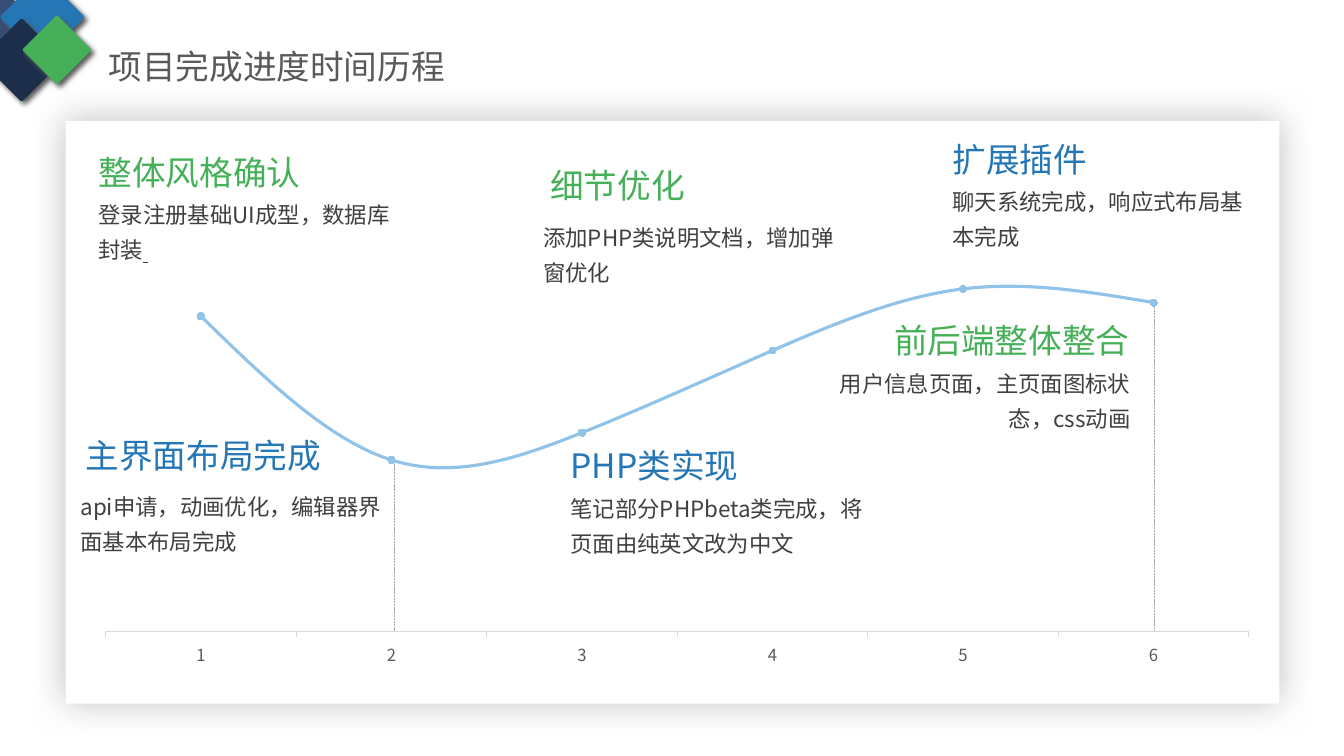
import lxml.etree
import pptx
import pptx.chart.data
import pptx.dml.color
import pptx.enum.chart
import pptx.enum.dml
import pptx.enum.shapes
import pptx.enum.text
import pptx.oxml
import pptx.oxml.ns
import pptx.util

SLIDE_W, SLIDE_H = pptx.util.Inches(13.33), pptx.util.Inches(7.5)
FONT = "Noto Sans CJK SC"
COLORS = {
    "white": "FFFFFF", "slate": "364D76", "blue": "2476B5", "navy": "1D2E4B",
    "green": "45B058", "title": "595959", "detail": "404040", "halo": "BFBFBF",
    "guide": "A6A6A6", "axis": "D9D9D9", "curve": "91C3E9", "lime": "9BC348",
    "teal": "2E9EB5", "royal": "2E6DB5", "indigo": "2E3DA5",
}
PROGRESS = [92, 50, 58, 82, 100, 96]
POINT_COLORS = ["curve", "lime", "green", "teal", "royal", "indigo"]

# Positions are percentages of the slide's width (x) and height (y).
DIAMONDS = [  # left, top, side (share of height), colour
    (-1.73, 0, 6.93, "slate"),
    (0.9, -1.73, 8, "blue"),
    (-0.6, 4, 7.87, "navy"),
    (2.4, 3.33, 6.53, "green"),
]
GUIDES = [(29.33, 61.33), (85.9, 39.87)]
AXIS_Y = 83.47
DETAIL_W, DETAIL_H, HEADING_H = 24.08, 10.67, 6.67
MILESTONES = [  # heading, colour, its left, top, width; detail, its left, top; align
    ("主界面布局完成", "blue", (5.63, 56.93, 22.58),
     ["api申请，动画优化，编辑器界面基本布局完成"], (5.25, 63.47), "LEFT"),
    ("前后端整体整合", "green", (62.49, 41.6, 22.28),
     ["用户信息页面，主页面图标状态，css动画"], (60.77, 47.2), "RIGHT"),
    ("整体风格确认", "green", (6.6, 19.47, 17.7),
     ["登录注册基础UI成型，数据库封装", " "], (6.6, 24.93), "LEFT"),
    ("PHP类实现", "blue", (41.71, 58.13, 17.7),
     ["笔记部分PHPbeta类完成，将页面由纯英文改为中文"], (41.71, 63.73), "LEFT"),
    ("细节优化", "green", (40.21, 21.2, 17.7),
     ["添加PHP类说明文档，增加弹窗优化"], (39.68, 27.87), "LEFT"),
    ("扩展插件", "blue", (70.14, 17.73, 17.7),
     ["聊天系统完成，响应式布局基本完成"], (70.14, 23.2), "LEFT"),
]


def x(share):
    return round(SLIDE_W * share / 100)


def y(share):
    return round(SLIDE_H * share / 100)


def rgb(name):
    return pptx.dml.color.RGBColor.from_string(COLORS[name])


def paint(fill, color):
    fill.solid()
    fill.fore_color.rgb = rgb(color)


def add_effects(shape, shadow=""):
    """Set the effect list: empty, or holding the given shadow."""
    shape._element.spPr.append(pptx.oxml.parse_xml(
        f'<a:effectLst {pptx.oxml.ns.nsdecls("a")}>{shadow}</a:effectLst>'))


def add_block(shapes, preset, left, top, width, height, color, shadow):
    """Add a borderless shape with (colour, blur, distance, degrees) as its shadow."""
    block = shapes.add_shape(preset, left, top, width, height)
    paint(block.fill, color)
    block.line.fill.background()
    tint, blur, distance, degrees = shadow
    add_effects(block, (
        f'<a:outerShdw blurRad="{pptx.util.Pt(blur)}" dist="{pptx.util.Pt(distance)}" '
        f'dir="{degrees * 60000}" algn="ctr" rotWithShape="0">'
        f'<a:srgbClr val="{COLORS[tint]}"/></a:outerShdw>'))
    return block


def add_diamond(shapes, left, top, side, color):
    diamond = add_block(shapes, pptx.enum.shapes.MSO_SHAPE.ROUNDED_RECTANGLE,
                        x(left), y(top), y(side), y(side), color, ("title", 4, 3, 45))
    diamond.adjustments[0] = 0.042
    diamond.rotation = 315


def add_text(shapes, left, top, width, height, texts, size, color, align="LEFT", spacing=1):
    """Add a one-paragraph box; runs after the first are underlined."""
    box = shapes.add_textbox(x(left), y(top), x(width), y(height))
    frame = box.text_frame
    frame.word_wrap = True
    frame.auto_size = pptx.enum.text.MSO_AUTO_SIZE.SHAPE_TO_FIT_TEXT
    paragraph = frame.paragraphs[0]
    paragraph.alignment = pptx.enum.text.PP_ALIGN[align]
    paragraph.line_spacing = spacing
    for index, text in enumerate(texts):
        run = paragraph.add_run()
        run.text = text
        run.font.size = pptx.util.Pt(size)
        run.font.color.rgb = rgb(color)
        run.font.name = FONT
        if index:
            run.font.underline = True
        east_asian = lxml.etree.SubElement(run.font._element, pptx.oxml.ns.qn("a:ea"))
        east_asian.set("typeface", FONT)


def add_guide(shapes, left, top):
    """Drop a dashed line from a point of the curve to the axis."""
    guide = shapes.add_connector(pptx.enum.shapes.MSO_CONNECTOR.STRAIGHT,
                                 x(left), y(top), x(left), y(AXIS_Y))
    guide.line.color.rgb = rgb("guide")
    guide.line.width = pptx.util.Pt(0.5)
    guide.line.dash_style = pptx.enum.dml.MSO_LINE.SQUARE_DOT
    add_effects(guide)


def set_plot_area(chart, **shares):
    entries = "".join(f'<c:{key} val="{value}"/>' for key, value in shares.items())
    layout = pptx.oxml.parse_xml(
        f'<c:layout {pptx.oxml.ns.nsdecls("c")}><c:manualLayout>'
        '<c:layoutTarget val="inner"/><c:xMode val="edge"/><c:yMode val="edge"/>'
        f'{entries}</c:manualLayout></c:layout>')
    plot_area = chart._chartSpace.chart.plotArea
    for old in plot_area.findall(pptx.oxml.ns.qn("c:layout")):
        plot_area.remove(old)
    plot_area.insert(0, layout)


def add_progress_chart(shapes, left, top, width, height):
    data = pptx.chart.data.CategoryChartData()
    data.categories = [str(step + 1) for step in range(len(PROGRESS))]
    data.add_series("Series 1", PROGRESS)
    chart = shapes.add_chart(pptx.enum.chart.XL_CHART_TYPE.LINE_MARKERS,
                             x(left), y(top), x(width), y(height), data).chart
    chart.has_legend = chart.has_title = False
    chart.font.name = FONT
    chart.font.size = pptx.util.Pt(10)
    chart.plots[0].vary_by_categories = False
    set_plot_area(chart, x=0.012, y=0.036, w=0.986, h=0.875)

    values = chart.value_axis
    values.minimum_scale, values.maximum_scale = 0, 118
    values.has_major_gridlines = False
    values.visible = False

    steps = chart.category_axis
    steps.major_tick_mark = pptx.enum.chart.XL_TICK_MARK.OUTSIDE
    steps.format.line.color.rgb = rgb("axis")
    steps.format.line.width = pptx.util.Pt(0.75)
    steps.tick_labels.font.name = FONT
    steps.tick_labels.font.size = pptx.util.Pt(11.9)
    steps.tick_labels.font.color.rgb = rgb("title")

    curve = chart.plots[0].series[0]
    curve.smooth = True
    curve.format.line.color.rgb = rgb("curve")
    curve.format.line.width = pptx.util.Pt(2.25)
    style_marker(curve.marker, "blue")
    for index, color in enumerate(POINT_COLORS):
        point = curve.points[index]
        style_marker(point.marker, color)
        point.format.line.color.rgb = rgb("curve")
        point.format.line.width = pptx.util.Pt(2.25)


def style_marker(marker, color):
    marker.style = pptx.enum.chart.XL_MARKER_STYLE.CIRCLE
    marker.size = 5
    paint(marker.format.fill, color)
    marker.format.line.fill.background()


def main():
    deck = pptx.Presentation()
    deck.slide_width, deck.slide_height = SLIDE_W, SLIDE_H
    shapes = deck.slides.add_slide(deck.slide_layouts[6]).shapes

    header = shapes.add_group_shape().shapes
    for diamond in DIAMONDS:
        add_diamond(header, *diamond)
    add_text(header, 7.35, 3.87, 29.26, 8.27, ["项目完成进度时间历程"], 24, "title", spacing=1.3)

    add_block(shapes, pptx.enum.shapes.MSO_SHAPE.RECTANGLE,
              x(4.88), y(16), x(90.32), y(77.07), "white", ("halo", 25, 0, 0))
    for guide in GUIDES:
        add_guide(shapes, *guide)
    add_progress_chart(shapes, 6.83, 27.87, 86.27, 61.07)

    for heading, color, heading_place, detail, detail_place, align in MILESTONES:
        add_text(shapes, *heading_place, HEADING_H, [heading], 24, color, align)
        add_text(shapes, *detail_place, DETAIL_W, DETAIL_H, detail, 16, "detail", align, 1.3)

    deck.save("out.pptx")


if __name__ == "__main__":
    main()
